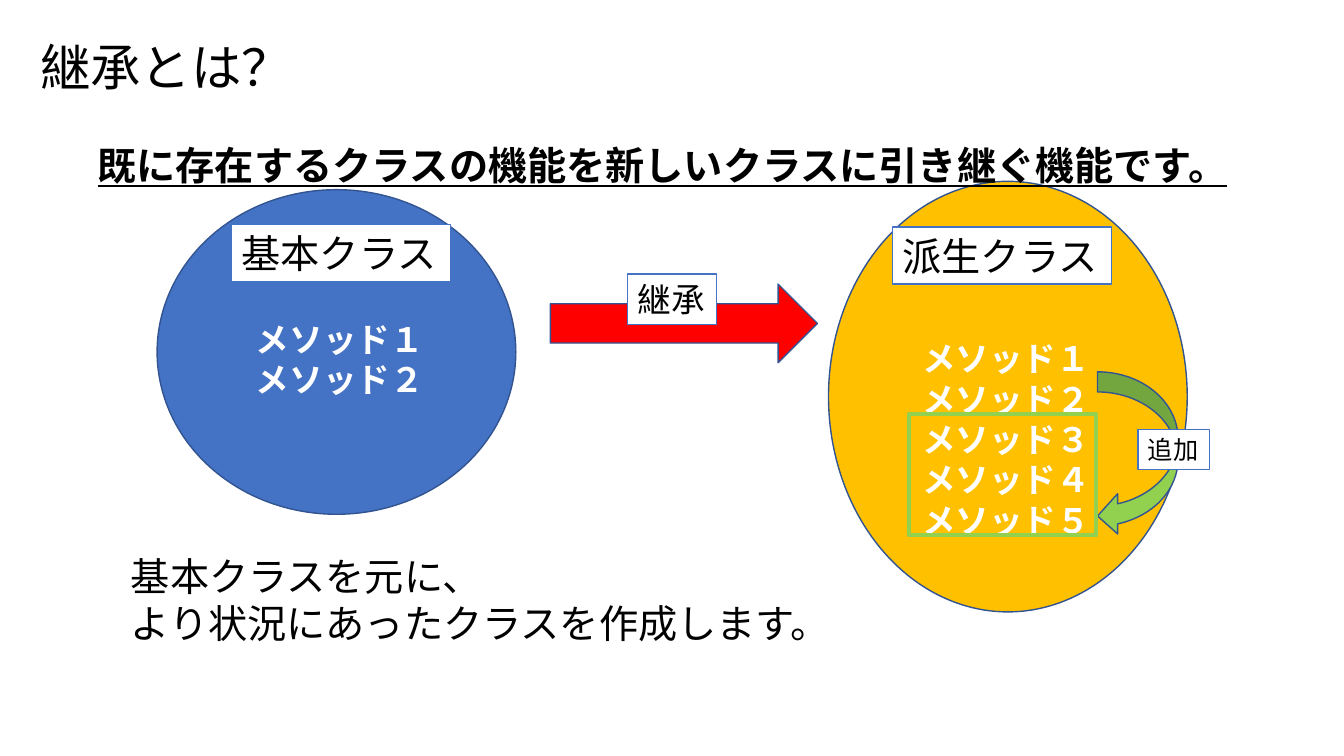
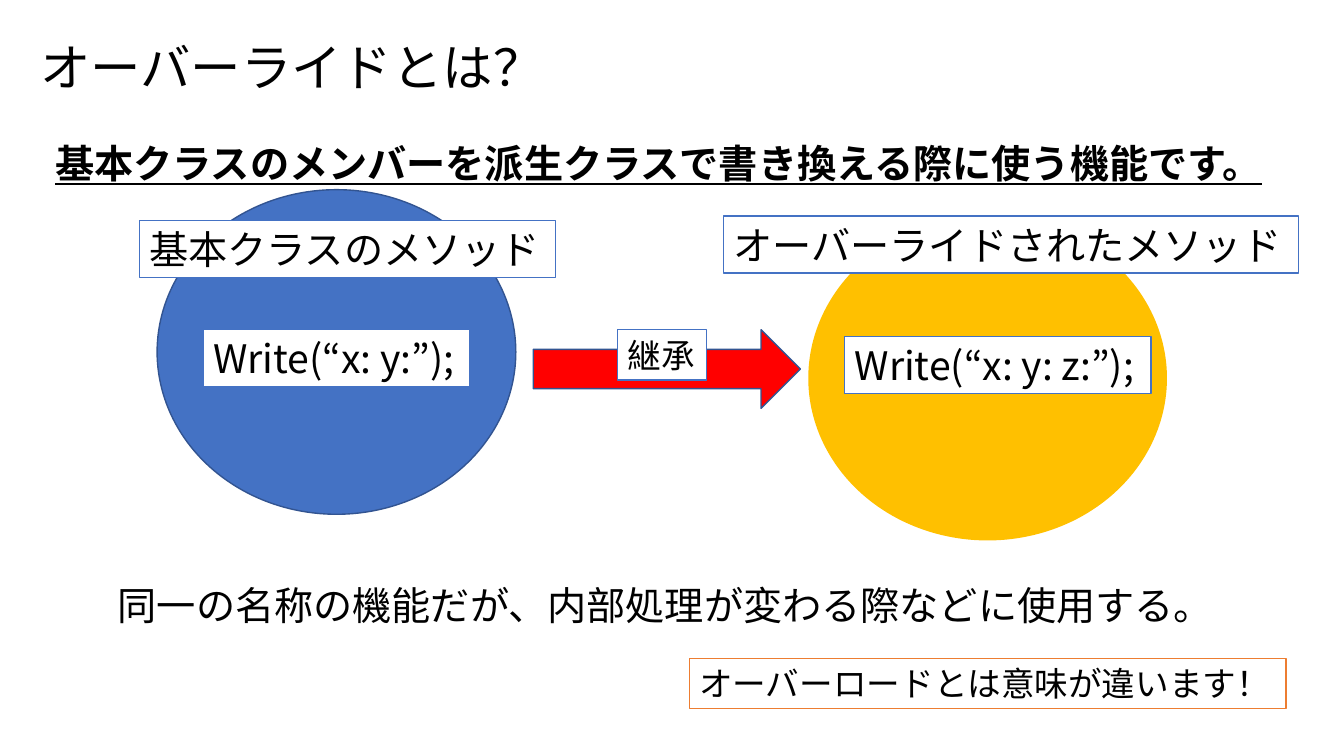
"""Build two slides that explain class inheritance and overriding."""
from dataclasses import dataclass
from typing import Optional, Union

from lxml import etree
from pptx import Presentation
from pptx import util as u
from pptx.dml.color import RGBColor
from pptx.enum import shapes, text
from pptx.oxml import ns

FONT = "Noto Sans CJK JP"
BLACK, WHITE = "000000", "FFFFFF"
BLUE, NAVY, ORANGE = "4472C4", "325491", "ED7D31"
GOLD, RED, GREEN = "FFC000", "FF0000", "92D050"
LINE_SPACING = 1.2
PADDING = u.Inches(0.05)
CIRCLE = (9.04, 8.18)
ARROW = (6.73, 1.98)
SHAPE = shapes.MSO_SHAPE


@dataclass(frozen=True)
class Figure:
    """A preset shape without text, measured in centimetres."""

    preset: SHAPE
    left: float
    top: float
    size: tuple[float, float]
    fill: Optional[str] = None
    line: Optional[str] = NAVY
    line_width: float = 1


@dataclass(frozen=True)
class Caption:
    """A text block whose height follows from its lines and font size."""

    left: float
    top: float
    width: float
    wording: str
    size: int = 28
    color: str = BLACK
    bold: bool = False
    underline: bool = False
    wrap: bool = False
    border: Optional[str] = None


def rgb(value: str) -> RGBColor:
    """Turn a hex string into a colour."""
    return RGBColor.from_string(value)


def paint(shape, fill: Optional[str], line: Optional[str], line_width: float = 1) -> None:
    """Set the fill and outline of a shape and drop its shadow."""
    shape.shadow.inherit = False
    if fill:
        shape.fill.solid()
        shape.fill.fore_color.rgb = rgb(fill)
    else:
        shape.fill.background()
    if line:
        shape.line.color.rgb = rgb(line)
        shape.line.width = u.Pt(line_width)
    else:
        shape.line.fill.background()


def write(shape, wording: str, *, size: int, color: str, bold: bool = False,
          underline: bool = False, wrap: bool = False) -> None:
    """Fill a shape with left-aligned paragraphs in one format."""
    frame = shape.text_frame
    frame.word_wrap = wrap
    frame.auto_size = text.MSO_AUTO_SIZE.NONE
    frame.vertical_anchor = text.MSO_ANCHOR.MIDDLE
    frame.margin_top = frame.margin_bottom = PADDING
    frame.text = wording
    for paragraph in frame.paragraphs:
        paragraph.alignment = text.PP_ALIGN.LEFT
        paragraph.line_spacing = u.Pt(size * LINE_SPACING)
        for run in paragraph.runs:
            font = run.font
            font.name, font.size = FONT, u.Pt(size)
            font.bold, font.underline = bold, underline
            font.color.rgb = rgb(color)
            properties = run._r.get_or_add_rPr()
            etree.SubElement(properties, ns.qn("a:ea"), typeface=FONT)


def add_figure(slide, figure: Figure) -> None:
    """Draw a figure."""
    width, height = figure.size
    shape = slide.shapes.add_shape(figure.preset, u.Cm(figure.left), u.Cm(figure.top),
                                   u.Cm(width), u.Cm(height))
    paint(shape, figure.fill, figure.line, figure.line_width)


def add_caption(slide, caption: Caption) -> None:
    """Draw a caption, in a white box when it has a border."""
    lines = caption.wording.count("\n") + 1
    height = u.Pt(lines * caption.size * LINE_SPACING) + 2 * PADDING
    bounds = u.Cm(caption.left), u.Cm(caption.top), u.Cm(caption.width), height
    if caption.border:
        shape = slide.shapes.add_shape(SHAPE.RECTANGLE, *bounds)
        paint(shape, WHITE, caption.border)
    else:
        shape = slide.shapes.add_textbox(*bounds)
    write(shape, caption.wording, size=caption.size, color=caption.color,
          bold=caption.bold, underline=caption.underline, wrap=caption.wrap)


def headline(left: float, top: float, width: float, wording: str) -> Caption:
    """Describe the bold underlined statement under a title."""
    return Caption(left, top, width, wording, bold=True, underline=True)


def methods(left: float, top: float, count: int) -> Caption:
    """Describe a numbered list of methods inside a class."""
    names = "\n".join(f"メソッド{digit}" for digit in "１２３４５"[:count])
    return Caption(left, top, 4.78, names, size=24, color=WHITE, bold=True)


def inheritance(left: float, top: float, label_left: float,
                label_top: float) -> list[Union[Figure, Caption]]:
    """Describe the red arrow and its label."""
    return [
        Figure(SHAPE.RIGHT_ARROW, left, top, ARROW, RED),
        Caption(label_left, label_top, 2.24, "継承", size=24, border=BLUE),
    ]


BASE_CLASS = Figure(SHAPE.OVAL, 3.96, 4.78, CIRCLE, BLUE)

SLIDES: dict[str, list[Union[Figure, Caption]]] = {
    "継承とは？": [
        Figure(SHAPE.OVAL, 20.88, 4.57, (9.04, 10.85), GOLD),
        headline(2.21, 3.43, 29.44, "既に存在するクラスの機能を新しいクラスに引き継ぐ機能です。"),
        Caption(22.5, 5.72, 5.51, "派生クラス", border=BLUE),
        BASE_CLASS,
        Caption(5.84, 5.66, 5.51, "基本クラス", border=BLUE),
        methods(6.2, 7.9, 2),
        methods(22.99, 8.4, 5),
        *inheritance(13.87, 7.16, 15.82, 6.91),
        Figure(SHAPE.CURVED_LEFT_ARROW, 27.66, 9.37, (2.03, 4.14), GREEN),
        Figure(SHAPE.RECTANGLE, 22.91, 10.44, (4.72, 3.05), line=GREEN, line_width=3),
        Caption(28.68, 10.82, 1.8, "追加", size=18, border=BLUE),
        Caption(3.05, 13.79, 18.47, "基本クラスを元に、\nより状況にあったクラスを作成します。"),
    ],
    "オーバーライドとは？": [
        Figure(SHAPE.OVAL, 20.37, 5.44, CIRCLE, GOLD, line=None),
        BASE_CLASS,
        headline(1.14, 3.38, 31.55, "基本クラスのメンバーを派生クラスで書き換える際に使う機能です。"),
        Caption(3.51, 5.56, 10.49, "基本クラスのメソッド", border=BLUE),
        Caption(5.13, 8.31, 6.71, "Write(“x: y:”);", border=BLUE),
        Caption(18.24, 5.44, 14.48, "オーバーライドされたメソッド", border=BLUE),
        Caption(21.29, 8.48, 7.72, "Write(“x: y: z:”);", border=BLUE),
        *inheritance(13.44, 8.31, 15.57, 8.31),
        Caption(2.72, 14.53, 28.45, "同一の名称の機能だが、内部処理が変わる際などに使用する。"),
        Caption(17.37, 16.59, 15.04, "オーバーロードとは意味が違います！", size=24, border=ORANGE),
    ],
}


def main() -> None:
    """Build and save the presentation."""
    presentation = Presentation()
    presentation.slide_width, presentation.slide_height = u.Cm(33.87), u.Cm(19.05)
    for title, elements in SLIDES.items():
        slide = presentation.slides.add_slide(presentation.slide_layouts[6])
        add_caption(slide, Caption(0.76, 0.79, 23.88, title, size=36, wrap=True))
        for element in elements:
            if isinstance(element, Figure):
                add_figure(slide, element)
            else:
                add_caption(slide, element)
    presentation.save("out.pptx")


if __name__ == "__main__":
    main()
